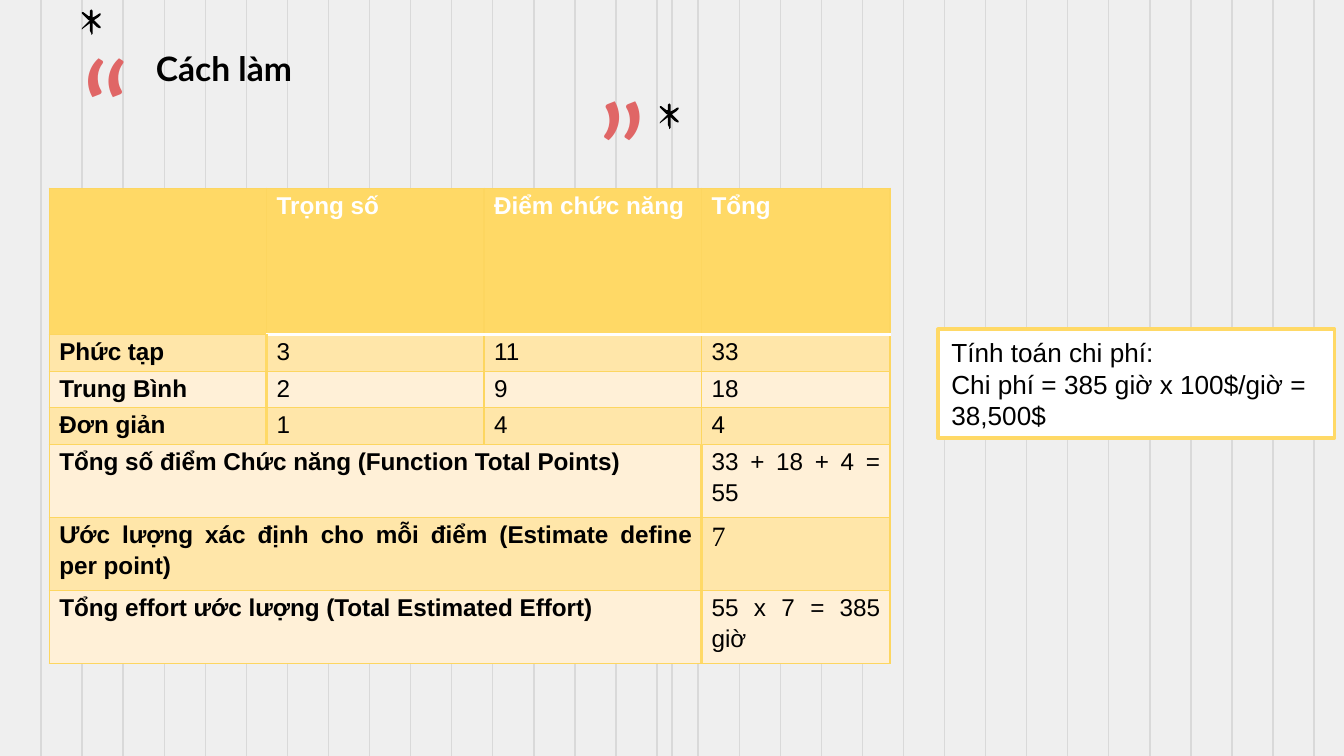
"""Build the slide that works out project cost from weighted function points."""
from dataclasses import dataclass
from typing import Any

from lxml.etree import SubElement
from pptx import Presentation
from pptx.dml.color import RGBColor
from pptx.enum.shapes import MSO_CONNECTOR, MSO_SHAPE
from pptx.enum.text import MSO_ANCHOR, MSO_AUTO_SIZE, PP_ALIGN
from pptx.oxml.ns import qn
from pptx.util import Pt

BLACK, WHITE, GOLD, EDGE = "000000", "FFFFFF", "FFD966", "FDD660"
ODD_FILL, EVEN_FILL, CORAL, GRID = "FFE6A9", "FFF0D7", "E06666", "D9D9D9"
WIDTH, HEIGHT, GRID_STEP = 720, 405, 22
COLUMN_WIDTHS = [116.5, 116.5, 116.5, 101]
ROW_HEIGHTS = [78.5] + [19.6] * 3 + [39.1] * 3
STAR_UNIT = 0.72
STAR = [
    (8, 0), (7, 1), (7, 5), (6, 5), (2, 2), (1, 2), (1, 3), (2, 4), (6, 8),
    (7, 8), (2, 13), (1, 14), (1, 15), (2, 14), (6, 11), (7, 10), (7, 16),
    (8, 18), (8, 19), (9, 18), (9, 17), (9, 10), (12, 13), (14, 14), (15, 14),
    (15, 13), (13, 11), (10, 8), (13, 6), (15, 4), (15, 3), (14, 3), (11, 5),
    (9, 6), (9, 3), (9, 1),
]


@dataclass
class Quote:
    mark: str
    left: float
    top: float


@dataclass
class Star:
    left: float
    top: float


@dataclass
class Row:
    label: str
    values: list[str]


QUOTES = [Quote("“", -23.76, 7.2), Quote("”", 252.72, 30.24)]
STARS = [Star(43.2, 5.04), Star(352.8, 55.44)]
HEADINGS = Row("", ["Trọng số", "Điểm chức năng", "Tổng"])
BODY = [
    Row("Phức tạp", ["3", "11", "33"]),
    Row("Trung Bình", ["2", "9", "18"]),
    Row("Đơn giản", ["1", "4", "4"]),
    Row("Tổng số điểm Chức năng (Function Total Points)", ["33 + 18 + 4 = 55"]),
    Row("Ước lượng xác định cho mỗi điểm (Estimate define per point)", ["7"]),
    Row("Tổng effort ước lượng (Total Estimated Effort)", ["55 x 7 = 385 giờ"]),
]


def paint(target: Any, color: str) -> None:
    """Give a fill a solid colour."""
    target.solid()
    target.fore_color.rgb = RGBColor.from_string(color)


def write(frame: Any, text: str, *, size: float, font: str = "Arial",
          color: str = BLACK, bold: bool = False, align: Any = PP_ALIGN.LEFT,
          spacing: float = 1.0) -> None:
    """Fill a text frame with one formatted paragraph per line of text."""
    for index, line in enumerate(text.split("\n")):
        para = frame.paragraphs[0] if index == 0 else frame.add_paragraph()
        para.alignment, para.line_spacing = align, spacing
        span = para.add_run()
        span.text = line
        span.font.size, span.font.name, span.font.bold = Pt(size), font, bold
        paint(span.font.fill, color)


def set_frame(frame: Any, margin: float) -> None:
    """Anchor a frame at the top with wrapping and equal margins."""
    frame.word_wrap, frame.auto_size = True, MSO_AUTO_SIZE.NONE
    frame.vertical_anchor = MSO_ANCHOR.TOP
    frame.margin_left = frame.margin_right = Pt(margin)
    frame.margin_top = frame.margin_bottom = Pt(margin)


def add_grid_line(page: Any, x: float) -> None:
    """Draw one vertical line over the height of the page."""
    line = page.shapes.add_connector(
        MSO_CONNECTOR.STRAIGHT, Pt(x), Pt(0), Pt(x), Pt(HEIGHT))
    paint(line.line.fill, GRID)
    line.line.width = Pt(0.75)
    SubElement(line.element.spPr, qn("a:effectLst"))


def add_title(page: Any, text: str) -> None:
    """Place the title above the grid lines."""
    title = page.shapes.title
    title.left, title.top = Pt(76.32), Pt(18.72)
    title.width, title.height = Pt(300.96), Pt(50.4)
    set_frame(title.text_frame, 7.2)
    write(title.text_frame, text, size=18, font="Lato", bold=True)
    title.element.getparent().append(title.element)


def add_quote(page: Any, quote: Quote) -> None:
    """Place one large quotation mark."""
    box = page.shapes.add_textbox(
        Pt(quote.left), Pt(quote.top), Pt(161.28), Pt(45.36))
    set_frame(box.text_frame, 7.2)
    write(box.text_frame, quote.mark, size=72, font="Lato", color=CORAL,
          align=PP_ALIGN.CENTER)


def add_star(page: Any, star: Star) -> None:
    """Draw one hand-drawn six-armed star."""
    builder = page.shapes.build_freeform(*STAR[0], scale=Pt(STAR_UNIT))
    builder.add_line_segments(STAR[1:], close=True)
    shape = builder.convert_to_shape(Pt(star.left), Pt(star.top))
    shape.shadow.inherit = False
    paint(shape.fill, BLACK)
    shape.line.fill.background()


def add_border(cell: Any, side: str, color: str, width: float) -> None:
    """Add one border to a cell; sides go in the order L, R, T, B."""
    line = SubElement(cell._tc.get_or_add_tcPr(), qn(f"a:ln{side}"),
                      w=str(Pt(width)))
    fill = SubElement(line, qn("a:solidFill"))
    SubElement(fill, qn("a:srgbClr"), val=color)


def style_cell(cell: Any, row: int, column: int, label_end: int) -> None:
    """Set the borders, fill and margins of a cell by its place."""
    thin, thick, white = (EDGE, 0.75), (GOLD, 2), (WHITE, 2)
    body, rated = row > 0, column > 0
    add_border(cell, "L", *(thick if body and column == label_end + 1 else thin))
    add_border(cell, "R", *(thick if body and column <= label_end else thin))
    add_border(cell, "T", *(white if row == 1 and rated else thin))
    add_border(cell, "B", *(white if row == 0 and rated else thin))
    paint(cell.fill, (ODD_FILL if row % 2 else EVEN_FILL) if body else GOLD)
    cell.margin_left = cell.margin_right = Pt(5.4)
    cell.margin_top = cell.margin_bottom = Pt(0)


def add_points_table(page: Any) -> None:
    """Build the table of weights, function points and totals."""
    rows = [HEADINGS] + BODY
    frame = page.shapes.add_table(
        len(rows), len(COLUMN_WIDTHS), Pt(26.4), Pt(100.8),
        Pt(sum(COLUMN_WIDTHS)), Pt(sum(ROW_HEIGHTS)))
    table = frame.table
    table.first_row = table.horz_banding = False
    for column, width in zip(table.columns, COLUMN_WIDTHS):
        column.width = Pt(width)
    for r, row in enumerate(rows):
        table.rows[r].height = Pt(ROW_HEIGHTS[r])
        label_end = len(COLUMN_WIDTHS) - len(row.values) - 1
        for c in range(len(COLUMN_WIDTHS)):
            style_cell(table.cell(r, c), r, c, label_end)
        if label_end:
            table.cell(r, 0).merge(table.cell(r, label_end))
        texts = {0: row.label} | dict(enumerate(row.values, label_end + 1))
        for c, text in texts.items():
            if not text:
                continue
            serif = text == "7"
            write(table.cell(r, c).text_frame, text, size=15 if serif else 13,
                  font="Times New Roman" if serif else "Arial",
                  color=BLACK if r else WHITE, bold=r == 0 or c == 0,
                  align=PP_ALIGN.JUSTIFY if r or c == 1 else PP_ALIGN.LEFT,
                  spacing=1.15)


def add_cost_box(page: Any, text: str) -> None:
    """Draw the framed box with the cost."""
    box = page.shapes.add_shape(
        MSO_SHAPE.RECTANGLE, Pt(502.56), Pt(176.4), Pt(212.4), Pt(58.32))
    box.shadow.inherit = False
    paint(box.fill, WHITE)
    paint(box.line.fill, GOLD)
    box.line.width = Pt(2)
    box.text_frame.word_wrap = True
    write(box.text_frame, text, size=14)


def main() -> None:
    """Build and save the deck."""
    deck = Presentation()
    deck.slide_width, deck.slide_height = Pt(WIDTH), Pt(HEIGHT)
    page = deck.slides.add_slide(deck.slide_layouts[5])
    paint(page.background.fill, "EFEFEF")
    for x in [*range(GRID_STEP, WIDTH, GRID_STEP), WIDTH / 2]:
        add_grid_line(page, x)
    for quote in QUOTES:
        add_quote(page, quote)
    add_title(page, "Cách làm")
    add_points_table(page)
    for star in STARS:
        add_star(page, star)
    add_cost_box(page, "Tính toán chi phí:\nChi phí = 385 giờ x 100$/giờ = 38,500$")
    deck.save("out.pptx")


if __name__ == "__main__":
    main()
